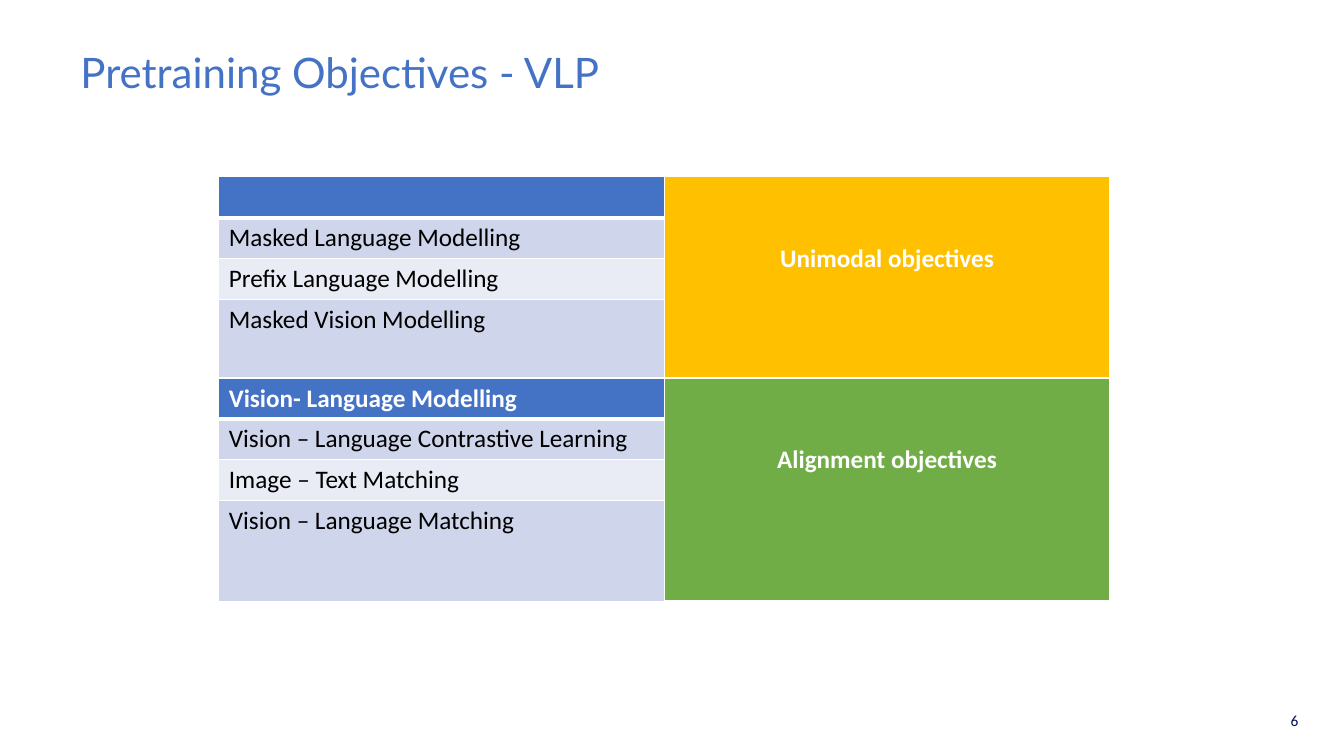
from dataclasses import dataclass

from lxml import etree
from pptx import Presentation
from pptx import util as u
from pptx.dml.color import RGBColor
from pptx.enum import text as t
from pptx.oxml import ns

HUES = {
    "blue": "4472C4", "gold": "FFC000", "green": "70AD47",
    "dark": "CFD5EA", "light": "E9EBF5", "white": "FFFFFF",
    "black": "000000", "navy": "00095B",
}
LEFT, WIDE, ROW = 156.3, 318.25, 29.2
MID = 58.6
PAD = 3.6


@dataclass
class Group:
    top: float
    last: float
    head: str
    tasks: tuple[str, ...]
    name: str
    hue: str


GROUPS = (
    Group(126.3, 56.4, "",
          ("Masked Language Modelling", "Prefix Language Modelling",
           "Masked Vision Modelling"),
          "Unimodal objectives", "gold"),
    Group(270, 72.4, "Vision- Language Modelling",
          ("Vision – Language Contrastive Learning", "Image – Text Matching",
           "Vision – Language Matching"),
          "Alignment objectives", "green"),
)


def write(frame, words: str, *, size: float = 18, font: str = "Calibri",
          hue: str = "black", bold: bool = False,
          align=t.PP_ALIGN.LEFT, space: float = 1) -> None:
    para = frame.paragraphs[0]
    para.alignment = align
    para.line_spacing = space
    if not words:
        para.font.size = u.Pt(size)
        return
    run = para.add_run()
    run.text = words
    run.font.size = u.Pt(size)
    run.font.name = font
    run.font.bold = bold
    run.font.color.rgb = RGBColor.from_string(HUES[hue])


def label(slide, box: tuple[float, ...], words: str, wrap: bool, **form) -> None:
    frame = slide.shapes.add_textbox(*map(u.Pt, box)).text_frame
    frame.word_wrap = wrap
    write(frame, words, **form)


def paint(cell, hue: str, base: float) -> None:
    props = cell._tc.get_or_add_tcPr()
    for side, width in (("L", 1), ("R", 1), ("T", 1), ("B", base)):
        line = etree.SubElement(props, ns.qn(f"a:ln{side}"), w=str(u.Pt(width)))
        fill = etree.SubElement(line, ns.qn("a:solidFill"))
        etree.SubElement(fill, ns.qn("a:srgbClr"), val=HUES["white"])
    cell.fill.solid()
    cell.fill.fore_color.rgb = RGBColor.from_string(HUES[hue])


def draw(slide, group: Group) -> None:
    tall = [ROW] * len(group.tasks) + [group.last]
    full = sum(tall)
    table = slide.shapes.add_table(
        len(tall), 2, u.Pt(LEFT), u.Pt(group.top),
        u.Pt(2 * WIDE), u.Pt(full)).table
    for col in table.columns:
        col.width = u.Pt(WIDE)
    for i, (high, task) in enumerate(zip(tall, (group.head, *group.tasks))):
        table.rows[i].height = u.Pt(high)
        first = i == 0
        task_hue = "blue" if first else ("light", "dark")[i % 2]
        for j, hue in enumerate((task_hue, group.hue)):
            paint(table.cell(i, j), hue, 3 if first else 1)
        write(table.cell(i, 0).text_frame, task,
              hue="white" if first else "black", bold=first)
    side = table.cell(0, 1)
    side.merge(table.cell(len(tall) - 1, 1))
    side.vertical_anchor = t.MSO_ANCHOR.MIDDLE
    side.margin_bottom = u.Pt(full - 2 * MID + PAD)
    write(side.text_frame, group.name, hue="white", bold=True,
          align=t.PP_ALIGN.CENTER)


def main() -> None:
    deck = Presentation()
    deck.slide_width, deck.slide_height = u.Pt(960), u.Pt(540)
    slide = deck.slides.add_slide(deck.slide_layouts[6])
    label(slide, (907.2, 504.7, 27.4, 20.9), "6", False, size=11,
          hue="navy", align=t.PP_ALIGN.RIGHT)
    label(slide, (50.4, 33.8, 885.6, 50.4), "Pretraining Objectives - VLP",
          True, size=30, font="Lato", hue="blue", space=0.9)
    for group in GROUPS:
        draw(slide, group)
    deck.save("out.pptx")


if __name__ == "__main__":
    main()
